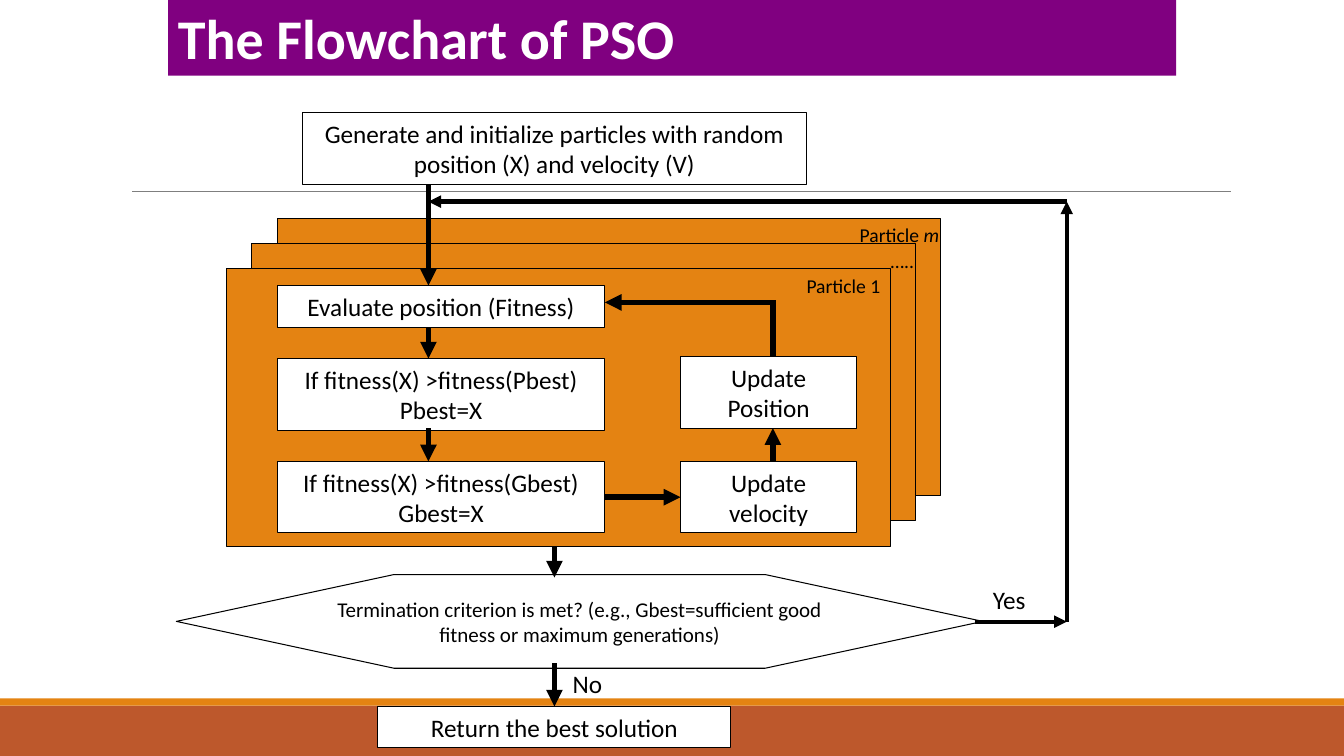
from dataclasses import dataclass

from lxml import etree
from pptx import Presentation
from pptx import util as u
from pptx.dml.color import RGBColor
from pptx.enum import shapes, text
from pptx.oxml import ns

BLACK = RGBColor(0x00, 0x00, 0x00)
WHITE = RGBColor(0xFF, 0xFF, 0xFF)
PURPLE = RGBColor(0x80, 0x00, 0x80)
ORANGE = RGBColor(0xE4, 0x83, 0x12)
RUST = RGBColor(0xBD, 0x58, 0x2C)
GREY = RGBColor(0x7F, 0x7F, 0x7F)

FONT = "Calibri"
CELL = u.Inches(0.25)  # side of one grid cell: column width and row height
COLUMNS, ROWS = 53.33, 30
BOTTOM, LEFT, RIGHT = 2, 1, 3  # connection sites of a rectangle
TOP = 0


def cells(count):
    return u.Emu(round(count * CELL))


@dataclass
class Box:
    left: float
    top: float
    width: float
    height: float

    def inside(self, left, top, width, height):
        return Box(self.left + left, self.top + top, width, height)

    def point(self, column, row):
        return cells(self.left + column), cells(self.top + row)

    def lengths(self):
        return [cells(n) for n in (self.left, self.top, self.width, self.height)]


# Building blocks
def write(shape, words, size, color=BLACK, align=text.PP_ALIGN.CENTER,
          anchor=text.MSO_ANCHOR.MIDDLE):
    frame = shape.text_frame
    frame.word_wrap = True
    frame.vertical_anchor = anchor
    frame.text = words
    for paragraph in frame.paragraphs:
        paragraph.alignment = align
        for run in paragraph.runs:
            run.font.name = FONT
            run.font.size = u.Pt(size)
            run.font.color.rgb = color
    return frame


def add_block(slide, box, fill=WHITE, outline=BLACK, kind=shapes.MSO_SHAPE.RECTANGLE):
    shape = slide.shapes.add_shape(kind, *box.lengths())
    shape.shadow.inherit = False
    shape.fill.solid()
    shape.fill.fore_color.rgb = fill
    if outline is None:
        shape.line.fill.background()
    else:
        shape.line.color.rgb = outline
        shape.line.width = u.Pt(0.75)
    return shape


def add_step(slide, box, words):
    step = add_block(slide, box)
    write(step, words, 18)
    return step


def add_label(slide, box, words, size, align=text.PP_ALIGN.LEFT):
    label = slide.shapes.add_textbox(*box.lengths())
    return write(label, words, size, align=align, anchor=text.MSO_ANCHOR.TOP)


def add_line(slide, start, end, width=4, color=BLACK, arrow=True):
    line = slide.shapes.add_connector(shapes.MSO_CONNECTOR.STRAIGHT, *start, *end)
    line.line.color.rgb = color
    line.line.width = u.Pt(width)
    if arrow:
        etree.SubElement(line.line._get_or_add_ln(), ns.qn("a:tailEnd"), type="triangle")
    etree.SubElement(line._element.spPr, ns.qn("a:effectLst"))
    return line


# Regions
def add_backdrop(slide, box):
    add_block(slide, box.inside(0, 28, box.width, 2), RUST, None)
    add_block(slide, box.inside(0, 27.72, box.width, 0.28), ORANGE, None)
    add_line(slide, box.point(5.24, 7.6), box.point(48.84, 7.6), 0.75, GREY, False)


def add_title(slide, box):
    banner = add_block(slide, box, PURPLE, None)
    frame = write(banner, "The Flowchart of PSO", 40, WHITE, text.PP_ALIGN.LEFT,
                  text.MSO_ANCHOR.BOTTOM)
    paragraph = frame.paragraphs[0]
    paragraph.line_spacing = 0.85
    paragraph.runs[0].font.bold = True


def add_particles(slide, front):
    """Stack the particle cards behind the front one, each a cell up and right."""
    for depth, name, overhang in ((2, "Particle ", 0.33), (1, "…..", 0.33),
                                  (0, "Particle 1", 0)):
        card = front.inside(depth, -depth, front.width, front.height)
        add_block(slide, card, ORANGE)
        corner = card.inside(card.width + overhang - 5.33, 0, 5.33, 1.36)
        frame = add_label(slide, corner, name, 14, text.PP_ALIGN.RIGHT)
        if depth == 2:
            index = frame.paragraphs[0].add_run()
            index.text = "m"
            index.font.name = FONT
            index.font.size = u.Pt(14)
            index.font.color.rgb = BLACK
            index.font.italic = True


def add_update_loop(slide, box):
    check, update = 2, 18  # left columns of the two stacks
    upper, lower = 3.56, 7.64  # top rows of the steps
    add_step(slide, box.inside(check, 0.67, 13, 1.64), "Evaluate position (Fitness)")
    add_step(slide, box.inside(check, upper, 13, 2.84),
             "If fitness(X) >fitness(Pbest)\nPbest=X")
    global_best = add_step(slide, box.inside(check, lower, 13, 2.84),
                           "If fitness(X) >fitness(Gbest)\nGbest=X")
    velocity = add_step(slide, box.inside(update, lower, 7, 2.84), "Update velocity")
    add_step(slide, box.inside(update, upper - 0.08, 7, 2.84), "Update Position")

    down, up = 8, 21.67  # columns of the arrows
    add_line(slide, box.point(down, 2.32), box.point(down, upper))
    add_line(slide, box.point(down, 6.32), box.point(down, lower))
    across = add_line(slide, box.point(15, 9), box.point(update, 9))
    across.begin_connect(global_best, RIGHT)
    across.end_connect(velocity, LEFT)
    add_line(slide, box.point(up, lower), box.point(up, 6.32))
    add_line(slide, box.point(up, 3.46), box.point(up, 1.24), arrow=False)
    add_line(slide, box.point(up, 1.33), box.point(15, 1.33))


def add_decision(slide, box):
    decision = add_block(slide, box, kind=shapes.MSO_SHAPE.HEXAGON)
    decision.adjustments[0] = 2.323
    decision.adjustments[1] = 1.155
    write(decision, "Termination criterion is met? (e.g., Gbest=sufficient good "
                    "fitness or maximum generations)", 15)


def add_main_flow(slide, box):
    add_step(slide, box.inside(12, 4.48, 20, 2.84),
             "Generate and initialize particles with random position (X) and velocity (V)")
    result = add_step(slide, box.inside(15, 28.04, 14, 1.64), "Return the best solution")

    entry, leave, back = 17, 22, 42.33  # columns of the arrows
    add_line(slide, box.point(entry, 7.33), box.point(entry, 11.33))
    add_line(slide, box.point(leave, 21.67), box.point(leave, 22.92))
    finish = add_line(slide, box.point(leave, 26.33), box.point(leave, 28.04))
    finish.end_connect(result, TOP)

    # Return path to the next generation
    path_points = [(38.67, 24.67), (back, 24.67), (back, 8), (entry, 8)]
    for start, end in zip(path_points, path_points[1:]):
        add_line(slide, box.point(*start), box.point(*end), 3)

    add_label(slide, box.inside(39, 23, 3, 1.6), "Yes", 18)
    add_label(slide, box.inside(22.33, 26.33, 3, 1.6), "No", 18)


def main():
    presentation = Presentation()
    presentation.slide_width = cells(COLUMNS)
    presentation.slide_height = cells(ROWS)
    slide = presentation.slides.add_slide(presentation.slide_layouts[6])

    page = Box(0, 0, COLUMNS, ROWS)
    front_card = page.inside(9, 10.67, 26.33, 11)
    add_backdrop(slide, page)
    add_title(slide, page.inside(6.67, -0.12, 40, 3.12))
    add_decision(slide, page.inside(7, 22.8, 32, 3.72))
    add_particles(slide, front_card)
    add_update_loop(slide, front_card)
    add_main_flow(slide, page)
    presentation.save("out.pptx")


if __name__ == "__main__":
    main()
